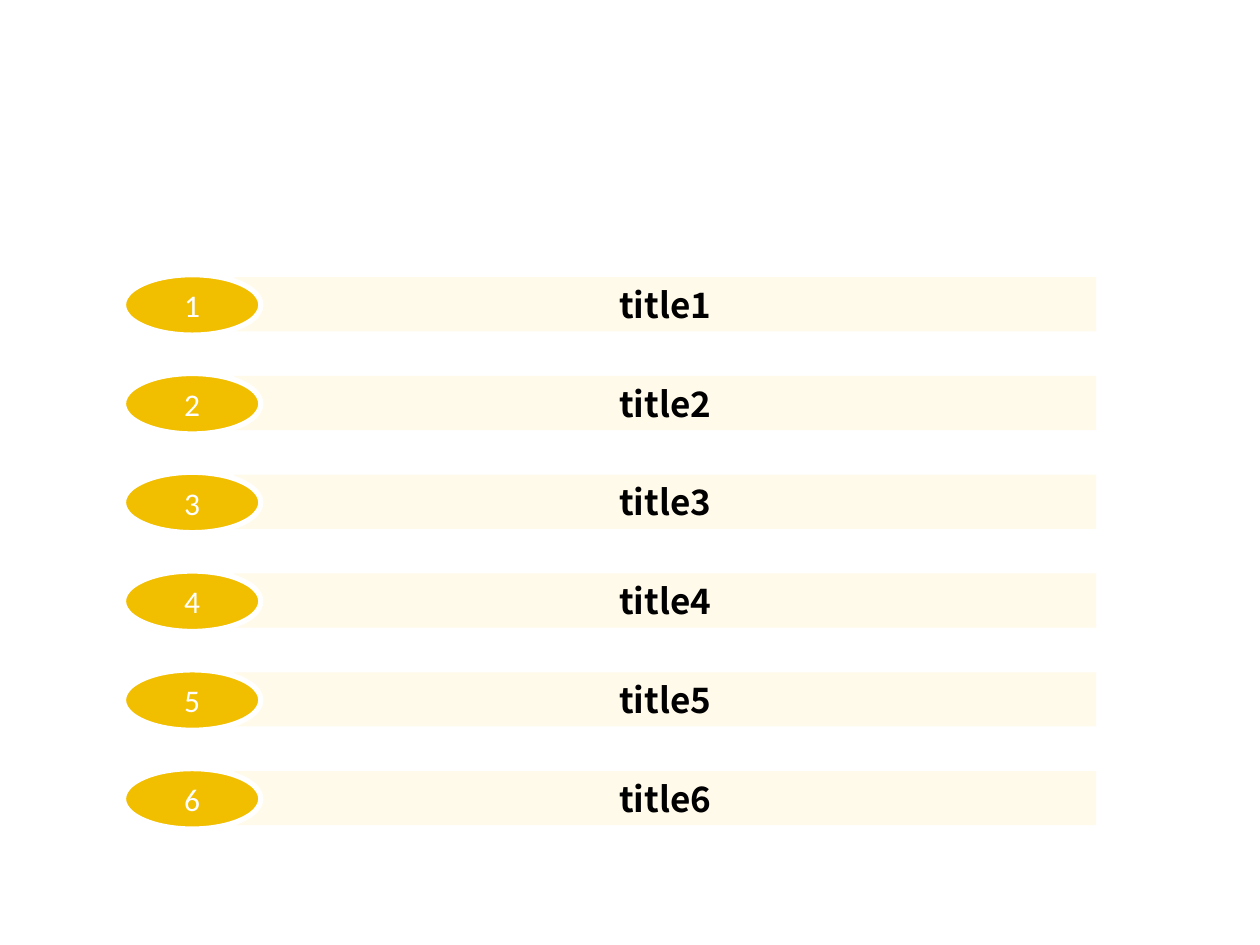
from dataclasses import dataclass

from pptx import Presentation
from pptx.dml.color import RGBColor
from pptx.enum import shapes, text
from pptx.util import Inches, Pt

COLORS = {"bar": "FFFAE9", "badge": "F2BE00", "white": "FFFFFF", "black": "000000"}
ROWS = 6
FIRST_TOP, LAST_TOP = 2.18, 6.10
PITCH = (LAST_TOP - FIRST_TOP) / (ROWS - 1)


@dataclass(frozen=True)
class Style:
    """Geometry and look of one part of an agenda row; dy is from the row top."""
    kind: shapes.MSO_SHAPE
    left: float
    dy: float
    width: float
    height: float
    fill: str
    font: str
    size: int
    color: str
    bold: bool = False
    outline: str | None = None


BAR = Style(shapes.MSO_SHAPE.RECTANGLE, 1.86, 0.02, 6.84, 0.43, "bar",
            "Noto Sans CJK SC", 20, "black", bold=True)
BADGE = Style(shapes.MSO_SHAPE.OVAL, 0.98, 0, 1.09, 0.48, "badge",
              "Calibri", 18, "white", outline="white")


def rgb(name: str) -> RGBColor:
    return RGBColor.from_string(COLORS[name])


def add_part(group, style: Style, top: float, label: str) -> None:
    sp = group.shapes.add_shape(style.kind, Inches(style.left), Inches(top + style.dy),
                                Inches(style.width), Inches(style.height))
    sp.shadow.inherit = False
    sp.fill.solid()
    sp.fill.fore_color.rgb = rgb(style.fill)
    if style.outline:
        sp.line.color.rgb = rgb(style.outline)
        sp.line.width = Pt(3)
    else:
        sp.line.fill.background()

    tf = sp.text_frame
    tf.word_wrap = True
    tf.vertical_anchor = text.MSO_ANCHOR.MIDDLE
    p = tf.paragraphs[0]
    p.alignment = text.PP_ALIGN.CENTER
    r = p.add_run()
    r.text = label
    r.font.name = style.font
    r.font.size = Pt(style.size)
    r.font.bold = style.bold
    r.font.color.rgb = rgb(style.color)


def main() -> None:
    prs = Presentation()
    prs.slide_width, prs.slide_height = Inches(10), Inches(7.5)
    s = prs.slides.add_slide(prs.slide_layouts[6])
    for i in range(ROWS):
        row = s.shapes.add_group_shape()
        top = FIRST_TOP + i * PITCH
        add_part(row, BAR, top, f"title{i + 1}")
        add_part(row, BADGE, top, str(i + 1))
    prs.save("out.pptx")


if __name__ == "__main__":
    main()
